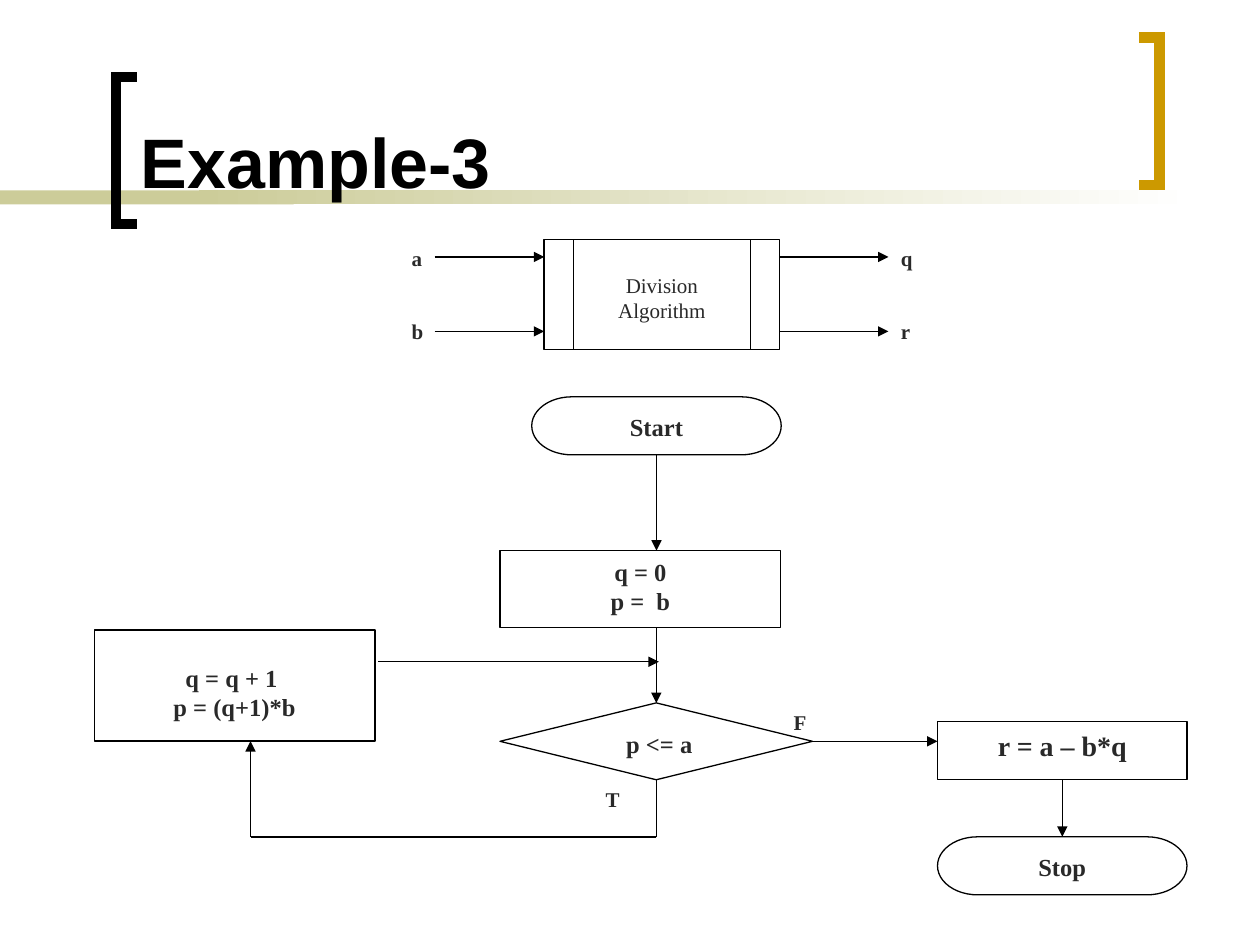
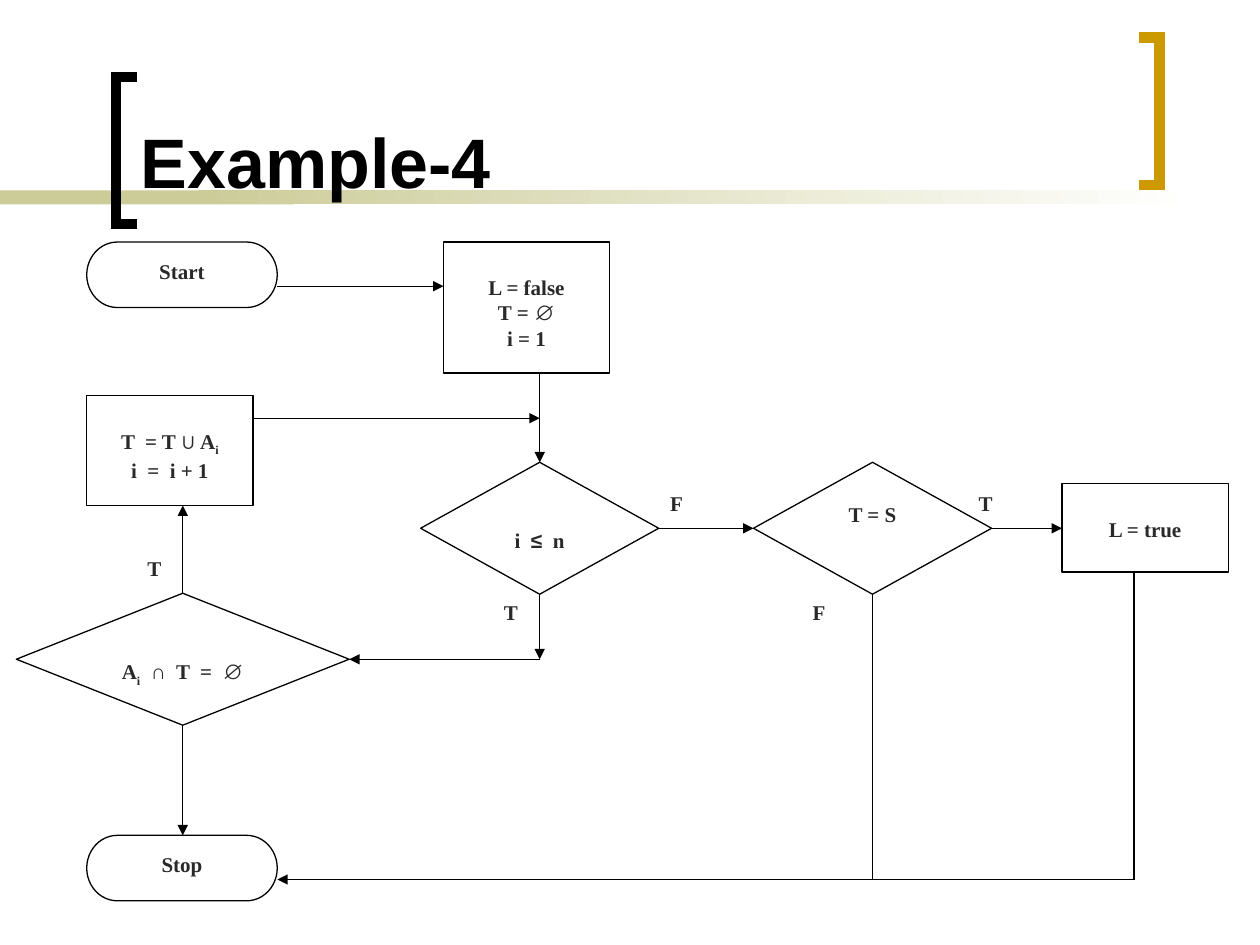
from dataclasses import dataclass
from itertools import groupby

from lxml import etree
from pptx import Presentation
from pptx import util as u
from pptx.dml import color
from pptx.enum import shapes, text
from pptx.oxml import ns


@dataclass(frozen=True)
class Theme:
    black: str = "000000"
    white: str = "FFFFFF"
    ink: str = "292929"
    olive: str = "CCCC99"
    gold: str = "CC9900"
    title_font: str = "Arial"
    body_font: str = "Times New Roman"
    title: int = 40
    large: int = 16
    medium: int = 14
    small: int = 12
    thin: float = 0.75
    thick: float = 6
    inset_x: float = 0.25
    inset_y: float = 0.13
    lowered: float = 0.53


THEME = Theme()
SYMBOLS = "∅≤∪∩"

TITLE_BOX = (2.59, 0.28, 19.89, 3.94)
BANDS = {"solid": (0, 3.84, 5.92, 0.28), "fading": (4.01, 3.84, 20.12, 0.28)}
BRACKETS = [
    ([(2.76, 4.52), (2.34, 4.52), (2.34, 1.55), (2.76, 1.55)], THEME.black),
    ([(22.96, 0.76), (23.38, 0.76), (23.38, 3.73), (22.96, 3.73)], THEME.gold),
]

KINDS = {
    "procedure": shapes.MSO_SHAPE.FLOWCHART_PREDEFINED_PROCESS,
    "terminator": shapes.MSO_SHAPE.FLOWCHART_TERMINATOR,
    "process": shapes.MSO_SHAPE.FLOWCHART_PROCESS,
    "decision": shapes.MSO_SHAPE.FLOWCHART_DECISION,
}

SMALL_LOWERED = {"size": THEME.small, "lowered": True}

DIVISION = {
    "title": "Example-3",
    "size": THEME.medium,
    "nodes": {
        "division": ("procedure", (10.97, 4.83, 4.75, 2.21), ["Division Algorithm"],
                     {"bold": False, **SMALL_LOWERED}),
        "start": ("terminator", (10.72, 8.0, 5.03, 1.17), ["Start"], {}),
        "init": ("process", (10.08, 11.1, 5.66, 1.55), ["q = 0", "p =  b"], {}),
        "step": ("process", (1.9, 12.7, 5.66, 2.24), ["q = q + 1 ", "p = (q+1)*b"], {"lowered": True}),
        "test": ("decision", (10.08, 14.17, 6.3, 1.55), [" p <= a"], {}),
        "result": ("process", (18.9, 14.55, 5.03, 1.17), ["r = a – b*q"], {"size": THEME.large}),
        "stop": ("terminator", (18.9, 16.87, 5.03, 1.17), ["Stop"], {}),
    },
    "labels": [
        ("a", (8.05, 4.83, 0.74, 0.74)),
        ("b", (8.05, 6.3, 0.74, 0.74)),
        ("q", (17.91, 4.83, 0.74, 1.12)),
        ("r", (17.91, 6.3, 0.74, 0.74)),
        ("F", (15.75, 14.17, 1.88, 0.76)),
        ("T", (11.96, 15.72, 1.27, 1.14)),
    ],
    "arrows": [
        (8.76, 5.18, "division.left", 5.18),
        (8.76, 6.68, "division.left", 6.68),
        ("division.right", 5.18, 17.91, 5.18),
        ("division.right", 6.68, 17.91, 6.68),
        ("start.centre", "start.bottom", "start.centre", "init.top"),
        ("test.centre", "init.bottom", "test.centre", "test.top"),
        ("test.right", "test.middle", "result.left", "test.middle"),
        ("result.centre", "result.bottom", "result.centre", "stop.top"),
        (5.05, "stop.top", 5.05, "step.bottom"),
        (7.62, 13.34, 13.28, 13.34),
    ],
    "lines": [
        ("test.centre", "test.bottom", "test.centre", "stop.top"),
        ("test.centre", "stop.top", 5.05, "stop.top"),
    ],
}

DISJOINT_SETS = {
    "title": "Example-4",
    "size": THEME.small,
    "nodes": {
        "start": ("terminator", (1.75, 4.88, 3.84, 1.32), ["Start"], {}),
        "init": ("process", (8.94, 4.88, 3.35, 2.64), ["L = false", "T = ∅", "i = 1"], SMALL_LOWERED),
        "union": ("process", (1.75, 7.98, 3.35, 2.21), ["T  = T ∪ A_i", "i  =  i + 1"], SMALL_LOWERED),
        "more": ("decision", (8.48, 9.32, 4.8, 2.66), ["i  ≤  n"], SMALL_LOWERED),
        "covers": ("decision", (15.19, 9.32, 4.8, 2.66), ["T = S"], {}),
        "found": ("process", (21.41, 9.75, 3.35, 1.78), ["L = true"], SMALL_LOWERED),
        "disjoint": ("decision", (0.33, 11.96, 6.71, 2.66), ["A_i  ∩  T  =  ∅"], SMALL_LOWERED),
        "stop": ("terminator", (1.75, 16.84, 3.84, 1.32), ["Stop"], {}),
    },
    "labels": [
        ("F", (13.26, 9.75, 1.45, 0.89)),
        ("T", (19.48, 9.75, 1.45, 0.89)),
        ("F", (16.13, 11.96, 1.45, 0.89)),
        ("T", (9.91, 11.96, 0.97, 1.32)),
        ("T", (2.72, 11.07, 0.97, 1.32)),
    ],
    "arrows": [
        ("start.right", 5.77, "init.left", 5.77),
        ("more.centre", "init.bottom", "more.centre", "more.top"),
        ("union.right", 8.43, "more.centre", 8.43),
        ("more.right", "more.middle", "covers.left", "more.middle"),
        ("covers.right", "covers.middle", "found.left", "covers.middle"),
        ("more.centre", "more.bottom", "more.centre", "disjoint.middle"),
        ("more.centre", "disjoint.middle", "disjoint.right", "disjoint.middle"),
        ("disjoint.centre", "disjoint.top", "disjoint.centre", "union.bottom"),
        ("disjoint.centre", "disjoint.bottom", "disjoint.centre", "stop.top"),
        (22.86, 17.73, "stop.right", 17.73),
    ],
    "lines": [
        ("covers.centre", "covers.bottom", "covers.centre", 17.73),
        (22.86, "found.bottom", 22.86, 17.73),
    ],
}


def rgb(value):
    return color.RGBColor.from_string(value)


def lengths(values):
    return [u.Cm(value) for value in values]


def paint(shape, fill=None, line=None, width=THEME.thin):
    shape.shadow.inherit = False
    if fill:
        shape.fill.solid()
        shape.fill.fore_color.rgb = rgb(fill)
    else:
        shape.fill.background()
    if line:
        shape.line.color.rgb = rgb(line)
        shape.line.width = u.Pt(width)
    else:
        shape.line.fill.background()


def split_runs(content):
    plain, *marked = content.split("_")
    pieces = [(plain, False)]
    for piece in marked:
        pieces += [(piece[0], True), (piece[1:], False)]
    for piece, subscript in pieces:
        for symbol, characters in groupby(piece, lambda character: character in SYMBOLS):
            yield "".join(characters), symbol, subscript


def write(shape, paragraphs, size=THEME.small, font=THEME.body_font, ink=THEME.ink, bold=True,
          align=text.PP_ALIGN.LEFT, anchor=text.MSO_ANCHOR.TOP, lowered=False):
    frame = shape.text_frame
    frame.word_wrap = True
    frame.auto_size = text.MSO_AUTO_SIZE.NONE
    frame.vertical_anchor = anchor
    frame.margin_left = frame.margin_right = u.Cm(THEME.inset_x)
    frame.margin_bottom = u.Cm(THEME.inset_y)
    frame.margin_top = u.Cm(THEME.inset_y + THEME.lowered * lowered)
    for index, content in enumerate(paragraphs):
        paragraph = frame.add_paragraph() if index else frame.paragraphs[0]
        paragraph.alignment = align
        for characters, symbol, subscript in split_runs(content):
            run = paragraph.add_run()
            run.text = characters
            run.font.name = THEME.title_font if symbol else font
            run.font.size = u.Pt(size)
            run.font.bold = bold
            run.font.color.rgb = rgb(ink)
            if subscript:
                run.font._element.set("baseline", "-25000")


def add_frame(slide):
    for name, box in BANDS.items():
        band = slide.shapes.add_shape(shapes.MSO_SHAPE.RECTANGLE, *lengths(box))
        paint(band, THEME.olive)
        if name == "fading":
            band.fill.gradient()
            band.fill.gradient_angle = 180
            for stop, value in zip(band.fill.gradient_stops, (THEME.white, THEME.olive)):
                stop.color.rgb = rgb(value)
    for points, ink in BRACKETS:
        first, *others = [lengths(point) for point in points]
        builder = slide.shapes.build_freeform(*first)
        builder.add_line_segments(others, close=False)
        bracket = builder.convert_to_shape()
        paint(bracket, line=ink, width=THEME.thick)
        etree.SubElement(bracket.line._get_or_add_ln(), ns.qn("a:miter"), lim="800000")


def add_title(slide, content):
    title = slide.shapes.title
    title.left, title.top, title.width, title.height = lengths(TITLE_BOX)
    write(title, [content], size=THEME.title, font=THEME.title_font, ink=THEME.black,
          anchor=text.MSO_ANCHOR.BOTTOM)
    title.element.getparent().append(title.element)


def edges(box):
    left, top, width, height = box
    return {"left": left, "centre": left + width / 2, "right": left + width,
            "top": top, "middle": top + height / 2, "bottom": top + height}


def add_line(slide, ends, arrow):
    line = slide.shapes.add_connector(shapes.MSO_CONNECTOR.STRAIGHT, *lengths(ends))
    line.line.color.rgb = rgb(THEME.black)
    line.line.width = u.Pt(THEME.thin)
    if arrow:
        etree.SubElement(line.line._get_or_add_ln(), ns.qn("a:tailEnd"), type="triangle")
    etree.SubElement(line.element.spPr, ns.qn("a:effectLst"))


def add_flowchart(slide, chart):
    places = {}
    for name, (kind, box, paragraphs, style) in chart["nodes"].items():
        node = slide.shapes.add_shape(KINDS[kind], *lengths(box))
        paint(node, THEME.white, THEME.black)
        write(node, paragraphs, **{"size": chart["size"], "align": text.PP_ALIGN.CENTER, **style})
        places.update({f"{name}.{edge}": place for edge, place in edges(box).items()})
    for content, box in chart["labels"]:
        write(slide.shapes.add_textbox(*lengths(box)), [content])
    for group in ("arrows", "lines"):
        for ends in chart[group]:
            add_line(slide, [places.get(end, end) for end in ends], arrow=group == "arrows")


def main():
    presentation = Presentation()
    presentation.slide_width, presentation.slide_height = lengths((25.4, 19.05))
    title_only = presentation.slide_layouts[5]
    for chart in (DIVISION, DISJOINT_SETS):
        slide = presentation.slides.add_slide(title_only)
        add_frame(slide)
        add_title(slide, chart["title"])
        add_flowchart(slide, chart)
    presentation.save("out.pptx")


if __name__ == "__main__":
    main()
